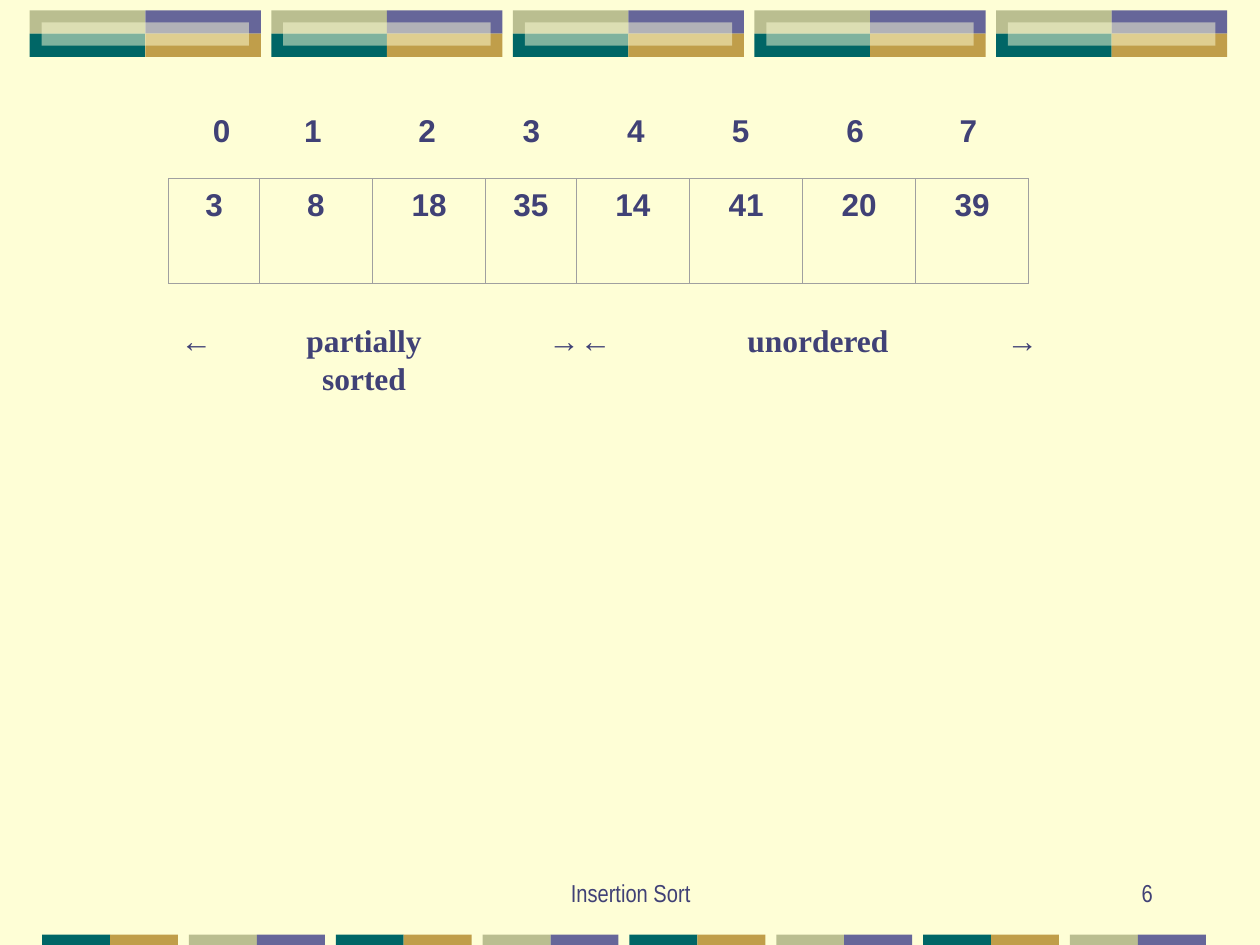
from itertools import accumulate
from typing import NamedTuple

from lxml import etree
from pptx import Presentation, util as u
from pptx.dml.color import RGBColor
from pptx.enum import shapes, text
from pptx.oxml import ns

COLORS = {
    "background": "FEFED6",
    "ink": "404176",
    "border": "A0A0A0",
    "violet": "666699",
    "gold": "C09E4A",
    "teal": "006666",
    "olive": "BABE90",
}
SANS, SERIF, NARROW = "Arial", "Times New Roman", "Arial Narrow"
ALIGN = text.PP_ALIGN


class Box(NamedTuple):
    left: float
    top: float
    width: float
    height: float


class Run(NamedTuple):
    words: str
    font: str = SANS
    size: float = 18
    bold: bool = True


class Cell(NamedTuple):
    value: int
    width: float


CELLS = [
    Cell(3, 1.83), Cell(8, 2.28), Cell(18, 2.28), Cell(35, 1.83),
    Cell(14, 2.28), Cell(41, 2.28), Cell(20, 2.28), Cell(39, 2.28),
]
ARRAY = Box(3.4, 3.6, sum(cell.width for cell in CELLS), 2.11)
INDEX_STOPS = [1.04, 2.88, 5.18, 7.28, 9.39, 11.5, 13.81, 16.09]
LABEL_STOPS = [3.7, 8.05, 12.85, 16.97]


def color(name: str) -> RGBColor:
    return RGBColor.from_string(COLORS[name])


def lengths(box: Box) -> list[u.Cm]:
    return [u.Cm(value) for value in box]


def add_rectangle(parent, box: Box, fill: str = "", line: float | None = None,
                  alpha: int = 100):
    shape = parent.add_shape(shapes.MSO_SHAPE.RECTANGLE, *lengths(box))
    shape.shadow.inherit = False
    if fill:
        shape.fill.solid()
        shape.fill.fore_color.rgb = color(fill)
        if alpha < 100:
            node = shape.fill._xPr.find(".//" + ns.qn("a:srgbClr"))
            etree.SubElement(node, ns.qn("a:alpha"), val=str(alpha * 1000))
    else:
        shape.fill.background()
    if line is None:
        shape.line.fill.background()
    else:
        shape.line.color.rgb = color("border")
        shape.line.width = u.Pt(line)
    return shape


def add_tabs(paragraph, stops: list[float]) -> None:
    tabs = etree.SubElement(paragraph._p.get_or_add_pPr(), ns.qn("a:tabLst"))
    for stop in stops:
        etree.SubElement(tabs, ns.qn("a:tab"), pos=str(u.Cm(stop)), algn="ctr")


def write(shape, lines: list[list[Run]], align=ALIGN.LEFT,
          anchor=text.MSO_ANCHOR.TOP, stops: list[float] | None = None) -> None:
    frame = shape.text_frame
    frame.word_wrap = True
    frame.vertical_anchor = anchor
    for number, runs in enumerate(lines):
        paragraph = frame.add_paragraph() if number else frame.paragraphs[0]
        paragraph.alignment = align
        if stops:
            add_tabs(paragraph, stops)
        for item in runs:
            run = paragraph.add_run()
            run.text = item.words
            run.font.name = item.font
            run.font.size = u.Pt(item.size)
            run.font.bold = item.bold
            run.font.color.rgb = color("ink")


def add_text(slide, box: Box, lines: list[list[Run]], **options) -> None:
    write(slide.shapes.add_textbox(*lengths(box)), lines, **options)


def add_top_band(slide, left: float) -> None:
    top, width, height, inset = 0.21, 2.33, 0.47, 0.24
    group = slide.shapes.add_group_shape().shapes
    tiles = [("olive", "violet"), ("teal", "gold")]
    for row, names in enumerate(tiles):
        for column, name in enumerate(names):
            box = Box(left + column * width, top + row * height, width, height)
            add_rectangle(group, box, name)
    glaze = Box(left + inset, top + inset, 2 * (width - inset), height)
    add_rectangle(group, glaze, "background", alpha=50)


def add_bottom_band(slide, left: float, names: tuple[str, str]) -> None:
    width = 1.37
    group = slide.shapes.add_group_shape().shapes
    for column, name in enumerate(names):
        add_rectangle(group, Box(left + column * width, 18.84, width, 0.21), name)


def add_array(slide) -> None:
    group = slide.shapes.add_group_shape().shapes
    lefts = accumulate((cell.width for cell in CELLS), initial=ARRAY.left)
    for cell, left in zip(CELLS, lefts):
        box = Box(left, ARRAY.top, cell.width, ARRAY.height)
        shape = add_rectangle(group, box, line=0)
        write(shape, [[Run(str(cell.value))]], align=ALIGN.CENTER)
    add_rectangle(group, ARRAY, line=0.75)


def main() -> None:
    presentation = Presentation()
    presentation.slide_width, presentation.slide_height = u.Cm(25.4), u.Cm(19.05)
    slide = presentation.slides.add_slide(presentation.slide_layouts[6])
    slide.background.fill.solid()
    slide.background.fill.fore_color.rgb = color("background")

    for number in range(5):
        add_top_band(slide, 0.6 + 4.87 * number)
    pairs = [("teal", "gold"), ("olive", "violet")]
    for number in range(8):
        add_bottom_band(slide, 0.85 + 2.96 * number, pairs[number % 2])

    footers = [
        (Box(8.69, 17.15, 8.05, 1.27), "Insertion Sort", ALIGN.CENTER),
        (Box(18.2, 17.15, 5.29, 1.27), "6", ALIGN.RIGHT),
    ]
    for box, words, align in footers:
        add_text(slide, box, [[Run(words, NARROW, 14, False)]], align=align,
                 anchor=text.MSO_ANCHOR.BOTTOM)

    indices = [Run(f"\t{index}") for index in range(len(CELLS))]
    add_text(slide, Box(3.18, 2.12, 17.15, 1.03), [indices], stops=INDEX_STOPS)
    add_array(slide)
    labels = [
        [Run("←"), Run("\tpartially", SERIF), Run("\t→←"),
         Run("\tunordered", SERIF), Run("\t→")],
        [Run("\tsorted", SERIF)],
    ]
    add_text(slide, Box(3.39, 6.35, 18.42, 1.79), labels, stops=LABEL_STOPS)

    presentation.save("out.pptx")


if __name__ == "__main__":
    main()
